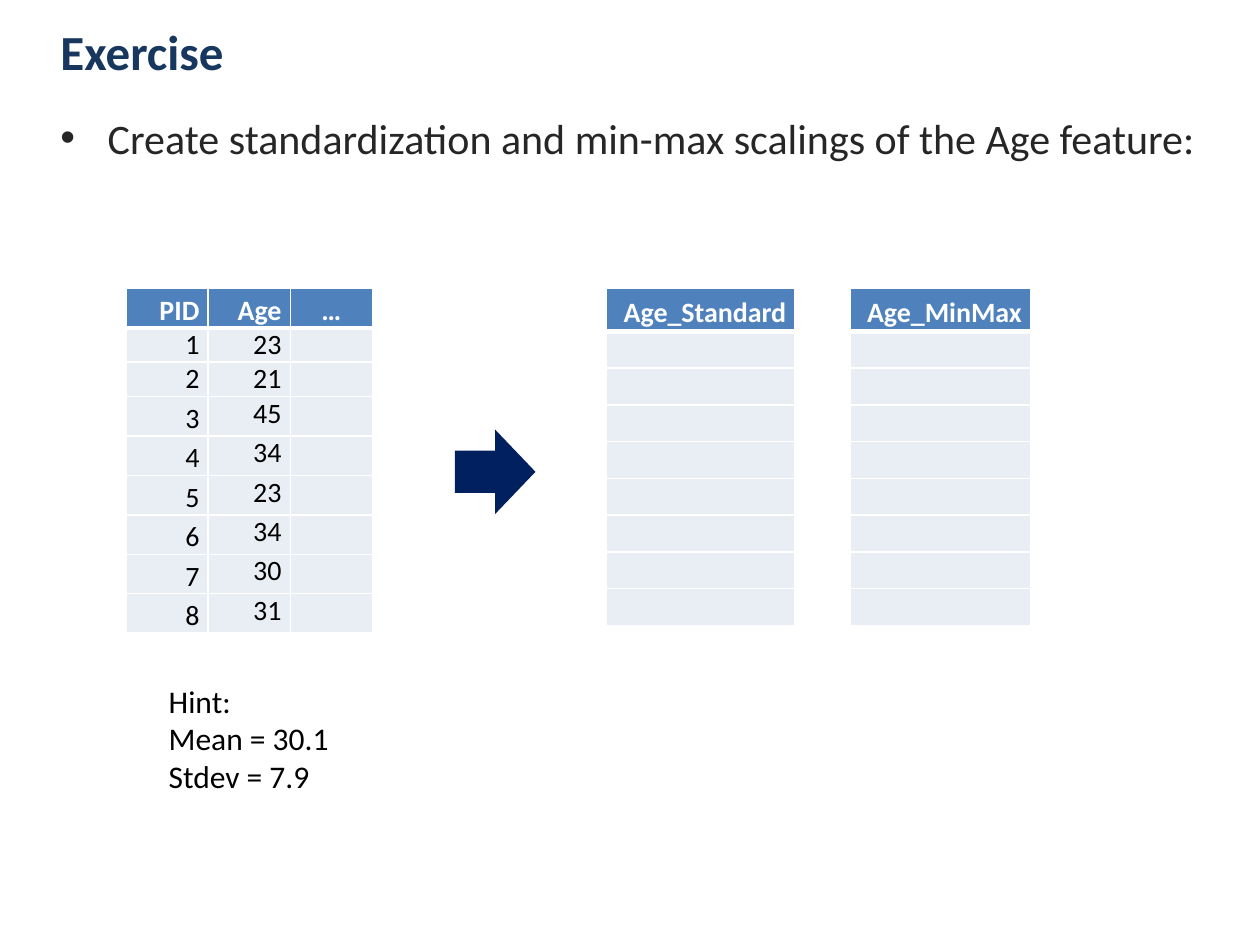
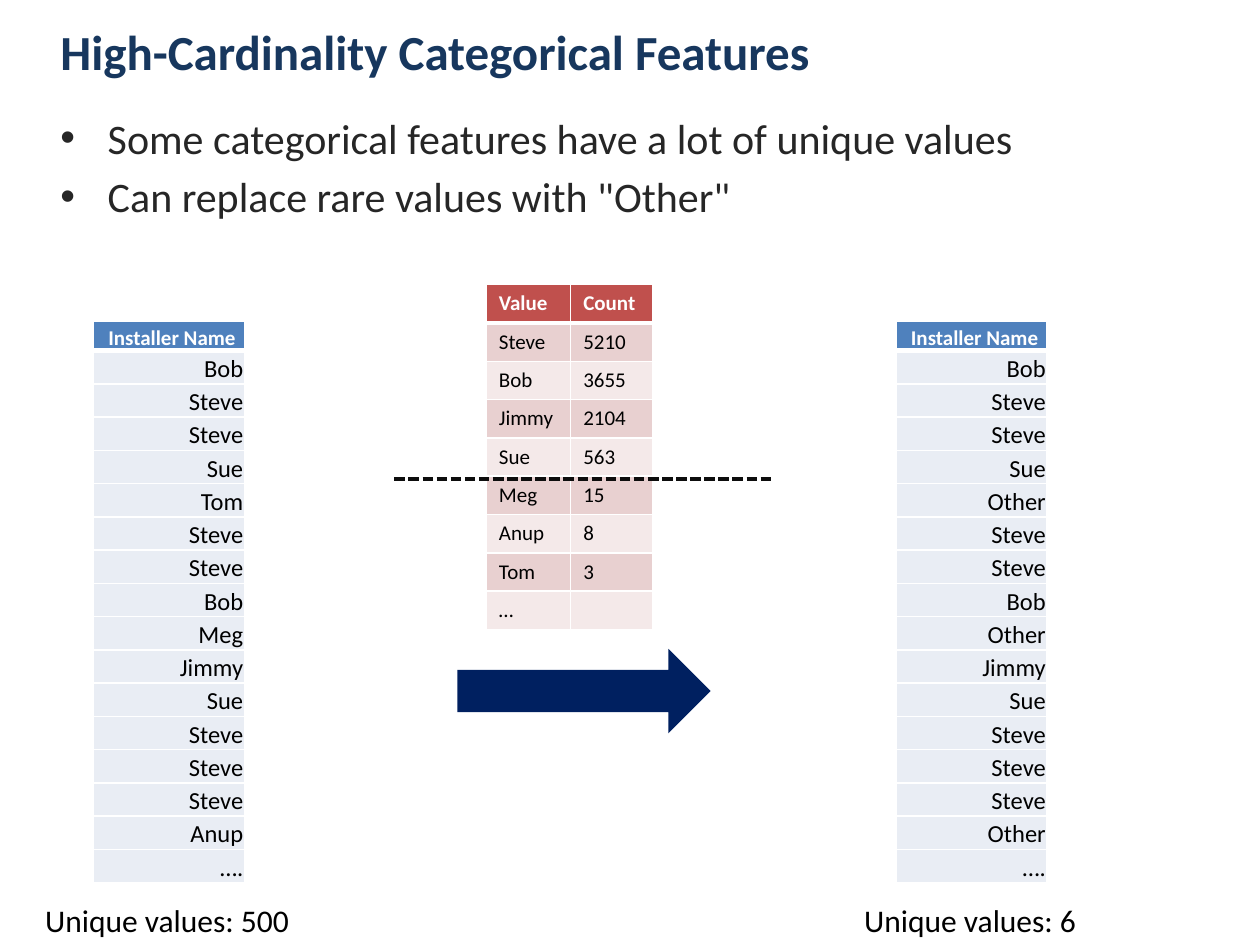
import pptx
import pptx.util
import pptx.dml.color
import pptx.enum.dml
import pptx.enum.shapes
import pptx.enum.text
import pptx.oxml.ns
from dataclasses import dataclass, replace
from lxml import etree

RGB = pptx.dml.color.RGBColor
Pt = pptx.util.Pt
ALIGN = pptx.enum.text.PP_ALIGN
ANCHOR = pptx.enum.text.MSO_ANCHOR
qn = pptx.oxml.ns.qn

WHITE = RGB(0xFF, 0xFF, 0xFF)
BLACK = RGB(0x00, 0x00, 0x00)
DASH = RGB(0x0D, 0x0D, 0x0D)
TITLE = RGB(0x17, 0x37, 0x5E)
BODY = RGB(0x26, 0x26, 0x26)
NAVY = RGB(0x00, 0x20, 0x60)
BLUE = RGB(0x4F, 0x81, 0xBD)
PALE_BLUE = RGB(0xE9, 0xED, 0xF4)
RED = RGB(0xC0, 0x50, 0x4D)
ROSE = RGB(0xE8, 0xD0, 0xD0)
PALE_ROSE = RGB(0xF4, 0xE9, 0xE9)

FONT = "Calibri"
COLUMNS, ROWS = 100, 75


@dataclass(frozen=True)
class CellStyle:
    size: int = 16
    align: ALIGN = ALIGN.RIGHT
    anchor: ANCHOR = ANCHOR.MIDDLE
    margins: tuple = (0.7, 0, 0.7, 0)
    spacing: float = 1.0


class Deck:
    def __init__(self):
        self.prs = pptx.Presentation()
        self.prs.slide_width = pptx.util.Inches(10)
        self.prs.slide_height = pptx.util.Inches(7.5)
        self.slide = None

    def x(self, columns):
        return round(self.prs.slide_width * columns / COLUMNS)

    def y(self, rows):
        return round(self.prs.slide_height * rows / ROWS)

    def box(self, left, top, width, height):
        return self.x(left), self.y(top), self.x(width), self.y(height)

    def place(self, sp, *box):
        sp.left, sp.top, sp.width, sp.height = self.box(*box)

    def run(self, p, text, size, color, bold=False):
        r = p.add_run()
        r.text = text
        r.font.name = FONT
        r.font.size = Pt(size)
        r.font.bold = bold
        r.font.color.rgb = color

    def paragraphs(self, tf, lines):
        for i, line in enumerate(lines):
            yield (tf.add_paragraph() if i else tf.paragraphs[0]), line

    def new_slide(self, title, bullets, body_height):
        self.slide = self.prs.slides.add_slide(self.prs.slide_layouts[1])
        head, body = self.slide.placeholders
        self.place(head, 3.8, 0.5, 82, 7.1)
        self.place(body, 3.8, 8.4, 92.4, body_height)
        for sp in (head, body):
            sp.text_frame.auto_size = pptx.enum.text.MSO_AUTO_SIZE.NONE
        head.text_frame.vertical_anchor = ANCHOR.MIDDLE
        p = head.text_frame.paragraphs[0]
        p.alignment = ALIGN.LEFT
        self.run(p, title, 28, TITLE, True)
        for i, (p, line) in enumerate(self.paragraphs(body.text_frame, bullets)):
            pPr = p._p.get_or_add_pPr()
            pPr.set("marL", str(self.x(3.75)))
            pPr.set("indent", str(-self.x(3.75)))
            p.space_before = Pt(4.8 if i else 0)
            self.run(p, line, 24, BODY)

    def text(self, lines, *box):
        tf = self.slide.shapes.add_textbox(*self.box(*box)).text_frame
        tf.word_wrap = False
        for p, line in self.paragraphs(tf, lines):
            self.run(p, line, 18, BLACK)

    def arrow(self, *box):
        kind = pptx.enum.shapes.MSO_SHAPE.RIGHT_ARROW
        sp = self.slide.shapes.add_shape(kind, *self.box(*box))
        sp.shadow.inherit = False
        sp.fill.solid()
        sp.fill.fore_color.rgb = NAVY
        sp.line.fill.background()

    def dashed_line(self, left, right, row):
        kind = pptx.enum.shapes.MSO_CONNECTOR.STRAIGHT
        line = self.slide.shapes.add_connector(
            kind, self.x(left), self.y(row), self.x(right), self.y(row))
        line.line.color.rgb = DASH
        line.line.width = Pt(2)
        line.line.dash_style = pptx.enum.dml.MSO_LINE.SQUARE_DOT
        etree.SubElement(line._element.spPr, qn("a:effectLst"))

    def borders(self, cell, row):
        widths = {"L": 1, "R": 1, "T": 3 if row == 1 else 1, "B": 1 if row else 3}
        tcPr = cell._tc.get_or_add_tcPr()
        for side, width in widths.items():
            ln = etree.SubElement(tcPr, qn("a:ln" + side), w=str(Pt(width)))
            fill = etree.SubElement(ln, qn("a:solidFill"))
            etree.SubElement(fill, qn("a:srgbClr"), val=str(WHITE))

    def cell(self, cell, text, style, row, fill):
        self.borders(cell, row)
        cell.fill.solid()
        cell.fill.fore_color.rgb = fill
        cell.vertical_anchor = style.anchor
        left, top, right, bottom = style.margins
        cell.margin_left, cell.margin_right = self.x(left), self.x(right)
        cell.margin_top, cell.margin_bottom = self.y(top), self.y(bottom)
        p = cell.text_frame.paragraphs[0]
        p.alignment = style.align
        p.line_spacing = style.spacing
        if text:
            self.run(p, text, style.size, BLACK if row else WHITE, not row)
        else:
            etree.SubElement(p._p, qn("a:endParaRPr"), sz=str(style.size * 100))

    def table(self, left, top, widths, heights, data, style_at,
              head=BLUE, bands=(PALE_BLUE,)):
        frame = self.slide.shapes.add_table(
            len(data), len(widths), *self.box(left, top, sum(widths), sum(heights)))
        tbl = frame.table
        tbl.first_row = tbl.horz_banding = False
        for column, width in zip(tbl.columns, widths):
            column.width = self.x(width)
        for row, height in zip(tbl.rows, heights):
            row.height = self.y(height)
        for r, values in enumerate(data):
            fill = bands[(r - 1) % len(bands)] if r else head
            for c, value in enumerate(values):
                self.cell(tbl.cell(r, c), value, style_at(r, c), r, fill)


PLAIN = CellStyle()
LOOSE = replace(PLAIN, spacing=1.15)
TOP = replace(PLAIN, anchor=ANCHOR.TOP)
INSTALLER_HEAD = replace(LOOSE, size=12)
INSTALLER = CellStyle(14, anchor=ANCHOR.BOTTOM, margins=(0.1, 0.1, 0.1, 0))
COUNT = CellStyle(12, ALIGN.LEFT, ANCHOR.TOP, (1, 0.5, 1, 0.5))


def age_style(r, c):
    if r == 0:
        return replace(LOOSE, align=ALIGN.CENTER) if c == 2 else LOOSE
    if c:
        return TOP
    return LOOSE if r > 2 else PLAIN


def scaled_style(r, c):
    return PLAIN if r else LOOSE


def installer_style(r, c):
    return INSTALLER if r else INSTALLER_HEAD


def count_style(r, c):
    return COUNT


def exercise(deck):
    deck.new_slide(
        "Exercise",
        ["Create standardization and min-max scalings of the Age feature:"], 7.4)
    ages = [23, 21, 45, 34, 23, 34, 30, 31]
    data = [("PID", "Age", "…")]
    data += [(str(pid), str(age), "") for pid, age in enumerate(ages, 1)]
    deck.table(10, 22.9, [6.52] * 3, [3.12, 2.71, 2.71] + [3.13] * 6, data, age_style)
    deck.text(["Hint:", "Mean = 30.1", "Stdev = 7.9"], 12.4, 53.6, 14.9, 10.1)
    for name, left, width in (("Age_Standard", 48.1, 15), ("Age_MinMax", 67.5, 14.3)):
        deck.table(left, 22.9, [width], [3.4] + [2.92] * len(ages),
                   [(name,)] + [("",)] * len(ages), scaled_style)
    deck.arrow(36.1, 34.1, 6.4, 6.7)


def high_cardinality(deck):
    deck.new_slide(
        "High-Cardinality Categorical Features",
        ["Some categorical features have a lot of unique values",
         'Can replace rare values with "Other"'], 12.1)
    installers = ["Bob", "Steve", "Steve", "Sue", "Tom", "Steve", "Steve", "Bob",
                  "Meg", "Jimmy", "Sue", "Steve", "Steve", "Steve", "Anup", "…."]
    rare = {"Meg", "Anup", "Tom"}
    grouped = ["Other" if name in rare else name for name in installers]
    for left, names in ((7.4, installers), (71.1, grouped)):
        deck.table(left, 25.5, [12], [2.34] + [2.64] * len(names),
                   [(name,) for name in ["Installer Name"] + names], installer_style)
    deck.arrow(36.3, 51.5, 20.1, 6.7)
    counts = [("Value", "Count"), ("Steve", "5210"), ("Bob", "3655"),
              ("Jimmy", "2104"), ("Sue", "563"), ("Meg", "15"), ("Anup", "8"),
              ("Tom", "3"), ("…", "")]
    deck.table(38.6, 22.6, [6.7, 6.5], [3.04] * len(counts), counts, count_style,
               RED, (ROSE, PALE_ROSE))
    deck.text(["Unique values: 500"], 2.6, 71, 21.7, 4)
    deck.text(["Unique values: 6"], 67.6, 71, 19.1, 4)
    deck.dashed_line(31.3, 61.4, 38)


def main():
    deck = Deck()
    exercise(deck)
    high_cardinality(deck)
    deck.prs.save("out.pptx")


if __name__ == "__main__":
    main()
